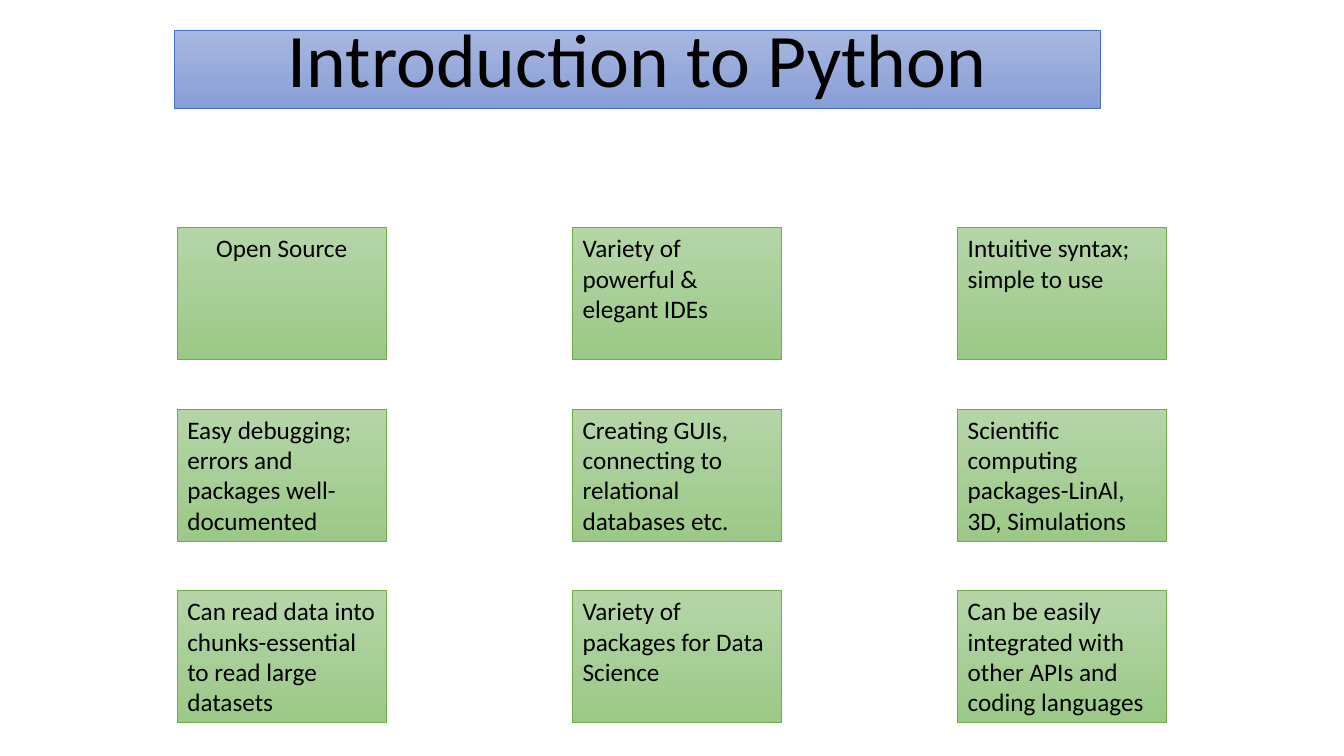
from pptx import Presentation
from pptx.dml.color import RGBColor
from pptx.enum.shapes import MSO_SHAPE
from pptx.enum.text import MSO_ANCHOR, PP_ALIGN
from pptx.util import Inches, Pt

FEATURES = [
    ["Open Source",
     "Variety of powerful & elegant IDEs",
     "Intuitive syntax; simple to use"],
    ["Easy debugging; errors and packages well-documented",
     "Creating GUIs, connecting to relational databases etc.",
     "Scientific computing packages-LinAl, 3D, Simulations"],
    ["Can read data into chunks-essential to read large datasets",
     "Variety of packages for Data Science",
     "Can be easily integrated with other APIs and coding languages"],
]
COLUMN_LEFTS = [1.76, 5.68, 9.5]
FIRST_ROW_TOP, ROW_PITCH = 2.26, 1.8
CARD_WIDTH, CARD_HEIGHT = 2.07, 1.31


def rgb(value):
    return RGBColor.from_string(value)


class SlideBuilder:
    font = "Calibri"
    ink = "000000"
    blue = ("A8B7DF", "889ED7", "4472C4")
    green = ("B5D5A7", "9CC987", "70AD47")

    def __init__(self, slide):
        self.slide = slide

    def panel(self, left, top, width, height, text, palette, size, align, anchor):
        """Add a rectangle shaded from top to bottom; palette is top, bottom, line."""
        box = self.slide.shapes.add_shape(
            MSO_SHAPE.RECTANGLE, Inches(left), Inches(top), Inches(width), Inches(height))
        box.shadow.inherit = False
        box.fill.gradient()
        box.fill.gradient_angle = 270
        for stop, shade in zip(box.fill.gradient_stops, palette):
            stop.color.rgb = rgb(shade)
            stop.position = 0 if shade == palette[0] else 1
        box.line.color.rgb = rgb(palette[2])
        box.line.width = Pt(0.5)

        frame = box.text_frame
        frame.text = text
        frame.word_wrap = True
        frame.vertical_anchor = anchor
        paragraph = frame.paragraphs[0]
        paragraph.alignment = align
        font = paragraph.runs[0].font
        font.name, font.size = self.font, Pt(size)
        font.color.rgb = rgb(self.ink)
        return paragraph

    def title(self, text):
        heading = self.panel(1.73, 0.3, 9.18, 0.78, text, self.blue, 54,
                             PP_ALIGN.CENTER, MSO_ANCHOR.BOTTOM)
        heading.line_spacing = 0.9

    def card(self, left, top, text, align):
        self.panel(left, top, CARD_WIDTH, CARD_HEIGHT, text, self.green, 18,
                   align, MSO_ANCHOR.TOP)


def main():
    deck = Presentation()
    deck.slide_width, deck.slide_height = Inches(13.33), Inches(7.5)
    builder = SlideBuilder(deck.slides.add_slide(deck.slide_layouts[6]))

    builder.title("Introduction to Python")
    for row, features in enumerate(FEATURES):
        for left, feature in zip(COLUMN_LEFTS, features):
            align = PP_ALIGN.CENTER if feature == "Open Source" else PP_ALIGN.LEFT
            builder.card(left, FIRST_ROW_TOP + row * ROW_PITCH, feature, align)

    deck.save("out.pptx")


if __name__ == "__main__":
    main()
